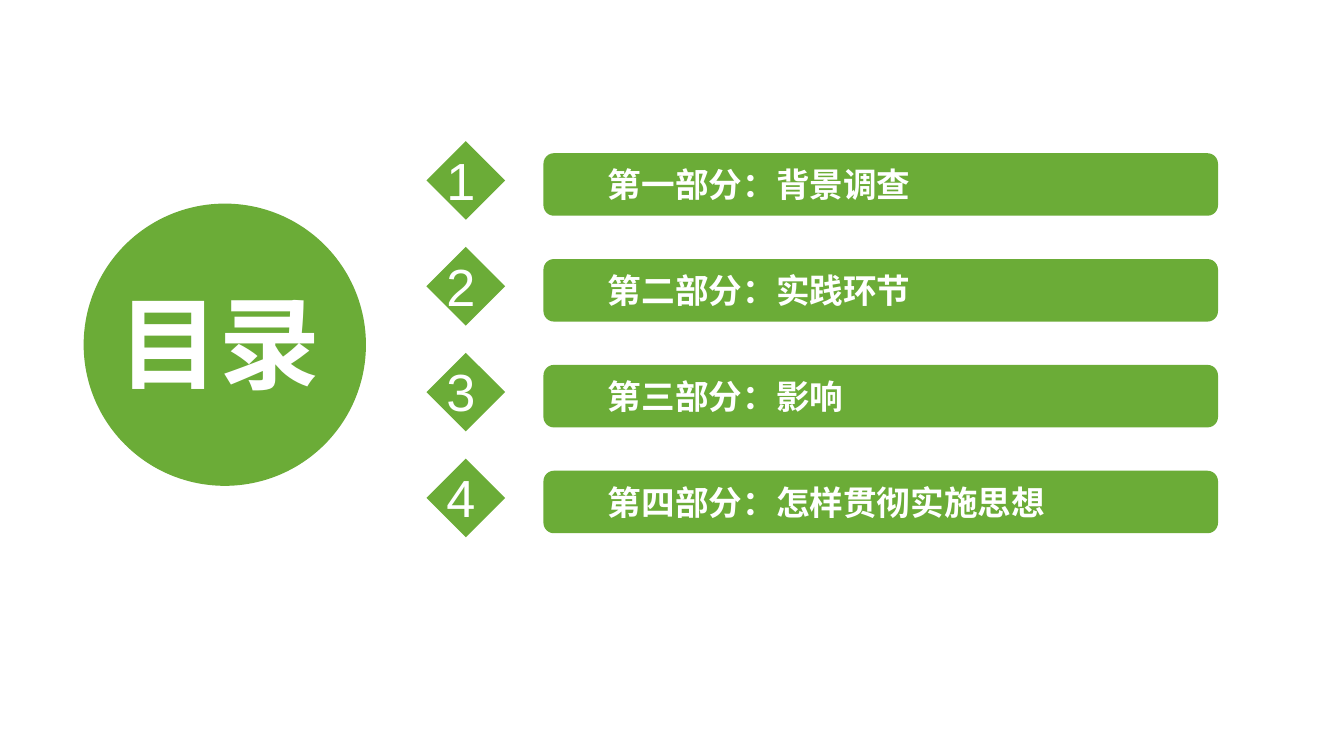
from pptx import Presentation
from pptx.dml.color import RGBColor
from pptx.enum import shapes, text
from pptx.util import Inches, Pt

GREEN = RGBColor(0x6B, 0xAC, 0x37)
WHITE = RGBColor(0xFF, 0xFF, 0xFF)
KIND = shapes.MSO_SHAPE
PARTS = [
    "第一部分：背景调查",
    "第二部分：实践环节",
    "第三部分：影响",
    "第四部分：怎样贯彻实施思想",
]
TOP, STEP = 1.4, 1.05


def add_form(slide, kind, *box):
    """Add a plain green shape; box is left, top, width, height."""
    form = slide.shapes.add_shape(kind, *map(Inches, box))
    form.shadow.inherit = False
    form.fill.solid()
    form.fill.fore_color.rgb = GREEN
    form.line.fill.background()
    return form


def write(frame, words, size, bold):
    """Put one left-aligned white line in a text frame."""
    para = frame.paragraphs[0]
    para.alignment = text.PP_ALIGN.LEFT
    run = para.add_run()
    run.text = words
    style = {"name": "Arial", "size": Pt(size), "bold": bold}
    for key, value in style.items():
        setattr(run.font, key, value)
    run.font.color.rgb = WHITE


def add_label(slide, words, size, bold, *box):
    """Add a text box that fits its unwrapped line."""
    frame = slide.shapes.add_textbox(*map(Inches, box)).text_frame
    frame.word_wrap = False
    frame.auto_size = text.MSO_AUTO_SIZE.SHAPE_TO_FIT_TEXT
    write(frame, words, size, bold)


def add_bar(slide, words, top):
    """Add a rounded bar with its indented heading."""
    bar = add_form(slide, KIND.ROUNDED_RECTANGLE, 5.39, top, 6.69, 0.62)
    frame = bar.text_frame
    frame.margin_left = Inches(0.61)
    frame.vertical_anchor = text.MSO_ANCHOR.MIDDLE
    write(frame, words, 24, True)


def main():
    deck = Presentation()
    deck.slide_width, deck.slide_height = Inches(13.33), Inches(7.5)
    slide = deck.slides.add_slide(deck.slide_layouts[6])

    # Title disc
    add_form(slide, KIND.OVAL, 0.83, 2.02, 2.8, 2.8)
    add_label(slide, "目录", 72, True, 1.08, 2.74, 2.22, 1.31)

    # Numbered parts
    for num, words in enumerate(PARTS):
        top = TOP + num * STEP
        add_bar(slide, words, top + 0.12)
        add_form(slide, KIND.DIAMOND, 4.23, top, 0.78, 0.78)
        add_label(slide, str(num + 1), 37.3, False,
                  4.33, top + 0.02, 0.51, 0.73)

    deck.save("out.pptx")


if __name__ == "__main__":
    main()
